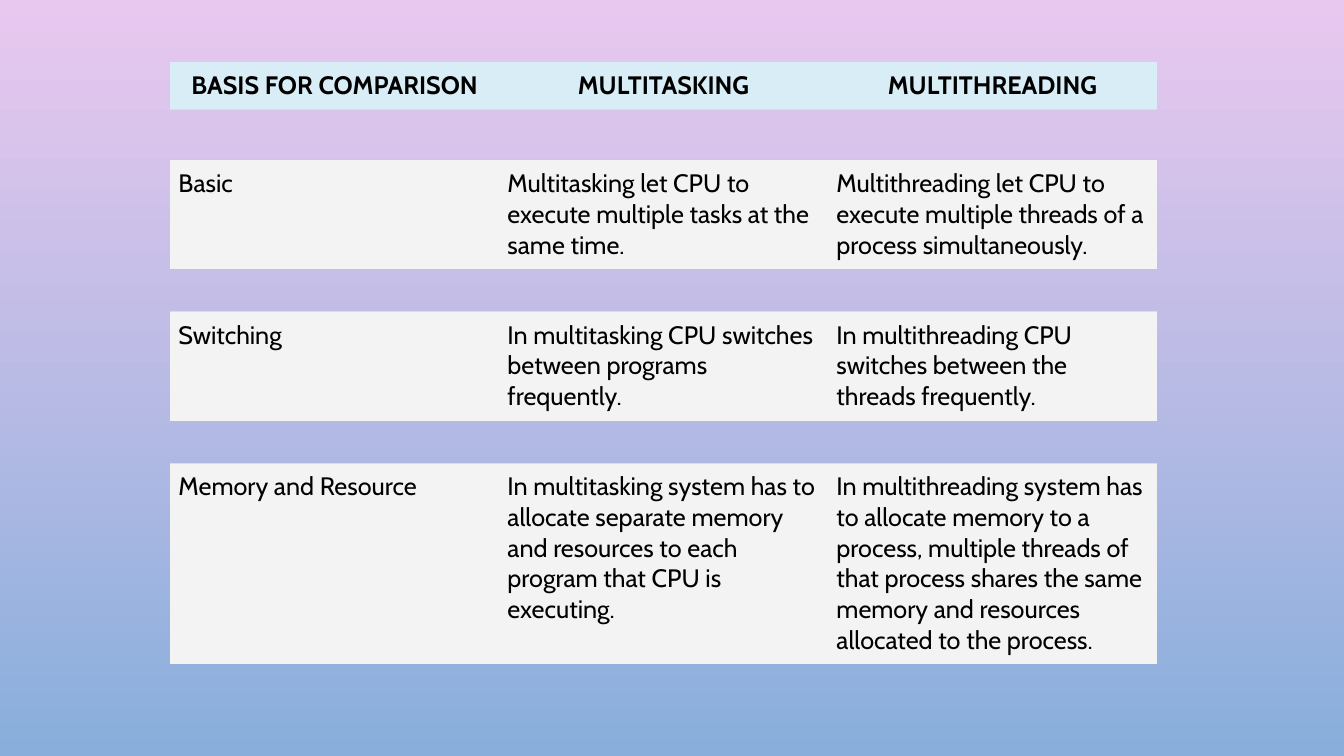
from lxml import etree
from pptx import Presentation
from pptx.dml.color import RGBColor
from pptx.enum.text import MSO_ANCHOR, PP_ALIGN
from pptx.oxml.ns import qn
from pptx.util import Pt

CENTER, LEFT = PP_ALIGN.CENTER, PP_ALIGN.LEFT
MIDDLE, TOP = MSO_ANCHOR.MIDDLE, MSO_ANCHOR.TOP

COLORS = {
    "sky_top": "E9C8EF",
    "sky_bottom": "89AEDB",
    "header": "D9EDF7",
    "row": "F3F3F3",
    "border": "DDDDDD",
    "text": "000000",
}
TABLE_LEFT, COLUMN_WIDTH = 121.5, 235
HEADER_TOP, HEADER_HEIGHT = 44, 34
FIRST_ROW_TOP, ROW_PITCH = 114.3, 108.2

HEADINGS = ["BASIS FOR COMPARISON", "MULTITASKING", "MULTITHREADING"]
# Each entry: row height, bordered edge, cell texts
COMPARISONS = [
    (77.5, None, [
        "Basic",
        "Multitasking let CPU to execute multiple tasks at the same time.",
        "Multithreading let CPU to execute multiple threads of a process "
        "simultaneously."]),
    (77.5, "T", [
        "Switching",
        "In multitasking CPU switches between programs frequently.",
        "In multithreading CPU switches between the threads frequently."]),
    (142, "T", [
        "Memory and Resource",
        "In multitasking system has to allocate separate memory and resources "
        "to each program that CPU is executing.",
        "In multithreading system has to allocate memory to a process, multiple "
        "threads of that process shares the same memory and resources allocated "
        "to the process."]),
]


def color(name):
    """Return the named palette colour."""
    return RGBColor.from_string(COLORS[name])


def set_format(target, values):
    """Set each attribute of target from a dict."""
    for name, value in values.items():
        setattr(target, name, value)


class SlideBuilder:
    """Holds the text style and the current slide."""

    def __init__(self, page):
        self.page = page
        self.font = {"name": "Cabin", "size": Pt(18)}
        self.margins = {f"margin_{side}": Pt(6)
                        for side in ("left", "right", "top", "bottom")}

    def background(self, top, bottom):
        """Fill the page with a vertical gradient."""
        fill = self.page.background.fill
        fill.gradient()
        fill.gradient_angle = 270
        for stop, name, position in zip(fill.gradient_stops, (top, bottom), (0, 1)):
            stop.color.rgb = color(name)
            stop.position = position

    def borders(self, cell, edge):
        """Draw a thin line on one edge and clear the others."""
        properties = cell._tc.get_or_add_tcPr()
        for index, side in enumerate("LRTB"):
            line = etree.Element(qn(f"a:ln{side}"), w=str(Pt(0.75)))
            if side == edge:
                fill = etree.SubElement(line, qn("a:solidFill"))
                etree.SubElement(fill, qn("a:srgbClr"), val=COLORS["border"])
            else:
                etree.SubElement(line, qn("a:noFill"))
            properties.insert(index, line)

    def cell(self, cell, text, fill, edge, align, anchor, bold):
        """Fill and format one table cell."""
        set_format(cell, {**self.margins, "vertical_anchor": anchor})
        cell.fill.solid()
        cell.fill.fore_color.rgb = color(fill)
        para = cell.text_frame.paragraphs[0]
        para.alignment = align
        span = para.add_run()
        span.text = text
        set_format(span.font, {**self.font, "bold": bold})
        span.font.color.rgb = color("text")
        self.borders(cell, edge)

    def table_row(self, top, height, texts, fill="row", edge=None,
                  align=LEFT, anchor=TOP, bold=False):
        """Add a table of a single row."""
        table = self.page.shapes.add_table(
            1, len(texts), Pt(TABLE_LEFT), Pt(top),
            Pt(COLUMN_WIDTH * len(texts)), Pt(height)).table
        set_format(table, {"first_row": False, "horz_banding": False})
        for cell, text in zip(table.iter_cells(), texts):
            self.cell(cell, text, fill, edge, align, anchor, bold)


def main():
    """Build the comparison slide and save the deck."""
    deck = Presentation()
    set_format(deck, {"slide_width": Pt(960), "slide_height": Pt(540)})
    builder = SlideBuilder(deck.slides.add_slide(deck.slide_layouts[6]))
    builder.background("sky_top", "sky_bottom")
    builder.table_row(HEADER_TOP, HEADER_HEIGHT, HEADINGS, fill="header",
                      edge="B", align=CENTER, anchor=MIDDLE, bold=True)
    for index, (height, edge, texts) in enumerate(COMPARISONS):
        builder.table_row(FIRST_ROW_TOP + index * ROW_PITCH, height, texts, edge=edge)
    deck.save("out.pptx")


main()
